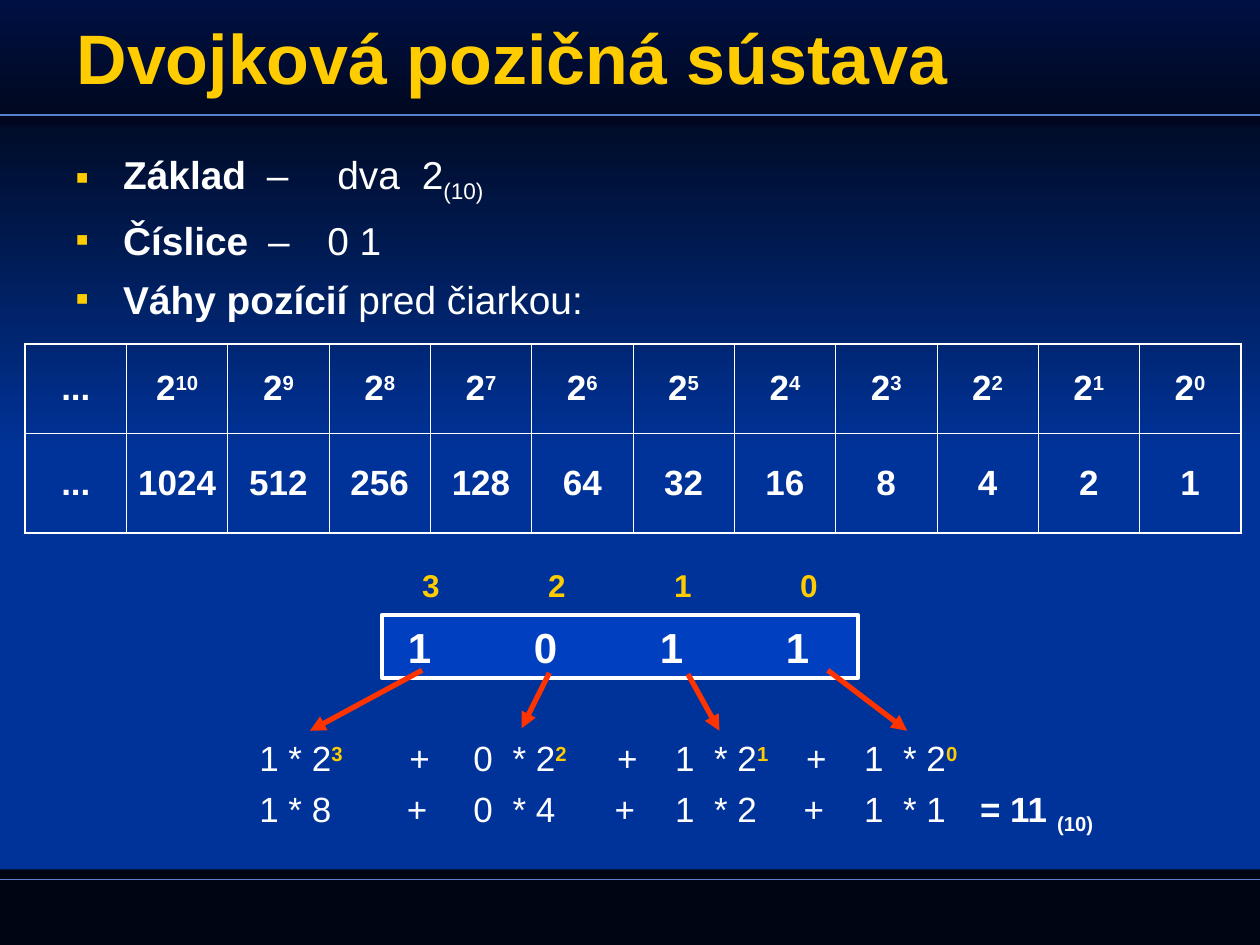
from lxml import etree
from pptx import Presentation
from pptx import util as u
from pptx.dml.color import RGBColor
from pptx.enum import shapes, text
from pptx.oxml import ns

THEME = {
    "font": "Arial", "white": "FFFFFF", "gold": "FFCC00", "blue": "003399",
    "panel": "0040C0", "rule": "5980CF", "arrow": "FF3300", "footer": "000514",
    "header_top": "001042", "header_end": "00071E",
    "title": 40, "body": 22.2, "digit": 24, "term": 20, "index": 18,
}

deck = Presentation()
deck.slide_width, deck.slide_height = u.Inches(10), u.Inches(7.5)
col, row = deck.slide_width / 100, deck.slide_height / 75
page = deck.slides.add_slide(deck.slide_layouts[6])
page.background.fill.solid()
page.background.fill.fore_color.rgb = RGBColor.from_string(THEME["blue"])


def write(para, spans, size, color="white", bold=False, tabs=()):
    if tabs:
        stops = etree.SubElement(para._p.get_or_add_pPr(), ns.qn("a:tabLst"))
        for stop in tabs:
            etree.SubElement(stops, ns.qn("a:tab"), pos=str(u.Inches(stop)), algn="l")
    for words, changes in spans:
        look = {"name": THEME["font"], "size": u.Pt(THEME[size]), "bold": bold,
                "color": color, "baseline": 0} | changes
        span = para.add_run()
        span.text = words
        for key in ("name", "size", "bold"):
            setattr(span.font, key, look[key])
        span.font.color.rgb = RGBColor.from_string(THEME[look["color"]])
        if look["baseline"]:
            span._r.get_or_add_rPr().set("baseline", str(look["baseline"] * 1000))


def add_text(left, top, width, height, spans, size, **style):
    box = page.shapes.add_textbox(*map(round, (left * col, top * row, width * col, height * row)))
    box.text_frame.word_wrap = True
    write(box.text_frame.paragraphs[0], spans, size, **style)
    return box


bands = [
    (69, 6, ["footer"]),
    (5.2, 30.8, ["footer", "blue"]),
    (0, 9.9, ["header_top", "header_end"]),
]
for top, height, colors in bands:
    band = page.shapes.add_shape(shapes.MSO_SHAPE.RECTANGLE, 0, round(top * row),
                                 deck.slide_width, round(height * row))
    band.shadow.inherit = False
    band.line.fill.background()
    if len(colors) == 1:
        band.fill.solid()
        band.fill.fore_color.rgb = RGBColor.from_string(THEME[colors[0]])
    else:
        band.fill.gradient()
        band.fill.gradient_angle = 270
        for stop, color in zip(band.fill.gradient_stops, colors):
            stop.color.rgb = RGBColor.from_string(THEME[color])

title = add_text(5.1, 0.6, 90, 7.7, [("Dvojková pozičná sústava", {})], "title",
                 color="gold", bold=True)
title.text_frame.vertical_anchor = text.MSO_ANCHOR.MIDDLE

strong = {"bold": True}
bullets = [
    ([("Základ", strong), ("\t–\tdva\t2", {}), ("(10)", {"baseline": -25})], (1.52, 2.08, 2.75)),
    ([("Číslice", strong), ("\t–\t0 1", {})], (1.53, 2)),
    ([("Váhy pozícií", strong), (" pred čiarkou:", {})], ()),
]
body = add_text(5, 11.5, 90, 15, [], "body")
for number, (spans, tabs) in enumerate(bullets):
    para = body.text_frame.add_paragraph() if number else body.text_frame.paragraphs[0]
    if number:
        para.space_before = u.Pt(7)
    props = para._p.get_or_add_pPr()
    props.set("marL", str(u.Inches(0.38)))
    props.set("indent", str(-u.Inches(0.38)))
    bullet_color = etree.SubElement(props, ns.qn("a:buClr"))
    etree.SubElement(bullet_color, ns.qn("a:srgbClr"), val=THEME["gold"])
    etree.SubElement(props, ns.qn("a:buFont"), typeface=THEME["font"])
    etree.SubElement(props, ns.qn("a:buChar"), char="▪")
    write(para, spans, "body", tabs=tabs)

powers = range(10, -1, -1)
weights = [
    [[("...", {})]] + [[("2", {}), (str(power), {"baseline": 30})] for power in powers],
    [[("...", {})]] + [[(str(2 ** power), {})] for power in powers],
]
last_row, last_column = len(weights) - 1, len(weights[0]) - 1
frame = page.shapes.add_table(len(weights), len(weights[0]), round(2 * col), round(27.3 * row),
                              round(96.5 * col), round(15 * row))
table = frame.table
table.first_row = table.horz_banding = False
for column in table.columns:
    column.width = round(96.5 * col / len(weights[0]))
for line, height in zip(table.rows, (7.1, 7.9)):
    line.height = round(height * row)
for r, entries in enumerate(weights):
    for c, spans in enumerate(entries):
        cell = table.cell(r, c)
        cell.fill.background()
        cell.margin_left = cell.margin_right = u.Inches(0.04)
        cell.vertical_anchor = text.MSO_ANCHOR.MIDDLE
        para = cell.text_frame.paragraphs[0]
        para.alignment = text.PP_ALIGN.CENTER
        write(para, spans, "term", bold=True)
        outer = {"L": c == 0, "R": c == last_column, "T": r == 0, "B": r == last_row}
        for order, (side, edge) in enumerate(outer.items()):
            border = etree.Element(ns.qn(f"a:ln{side}"), w=str(u.Pt(1.08 if edge else 0.45)))
            paint = etree.SubElement(border, ns.qn("a:solidFill"))
            etree.SubElement(paint, ns.qn("a:srgbClr"), val=THEME["white"])
            cell._tc.get_or_add_tcPr().insert(order, border)

register = page.shapes.add_shape(shapes.MSO_SHAPE.RECTANGLE, round(30.3 * col), round(48.8 * row),
                                 round(37.8 * col), round(5 * row))
register.shadow.inherit = False
register.fill.solid()
register.fill.fore_color.rgb = RGBColor.from_string(THEME["panel"])
register.line.color.rgb = RGBColor.from_string(THEME["white"])
register.line.width = u.Pt(2.25)
register.text_frame.vertical_anchor = text.MSO_ANCHOR.TOP
register.text_frame.margin_right = u.Inches(0.28)
register.text_frame.paragraphs[0].alignment = text.PP_ALIGN.CENTER
write(register.text_frame.paragraphs[0], [("1\t0\t1\t1", {})], "digit", bold=True, tabs=range(8))

terms = [(19.6, 11, "1 * "), (36.6, 12.6, "0\t* "), (52.6, 12.6, "1\t* "), (67.6, 12.6, "1\t* ")]
for number, (left, width, factor) in enumerate(terms):
    power = 3 - number
    tabs = (0.31,) if "\t" in factor else ()
    exponent = (str(power), {"color": "gold", "bold": True, "baseline": 30})
    add_text(left, 58, width, 4.4, [(factor + "2", {}), exponent], "term", tabs=tabs)
    add_text(left, 62, width, 4.4, [(factor + str(2 ** power), {})], "term", tabs=tabs)
for left in (31.5, 48, 63):
    for top, shift in ((58, 0), (62, -0.2)):
        add_text(left + shift, top, 3.9, 4.4, [("+", {})], "term")

rules = [((0, top, 100, top), "rule", 1) for top in (9.1, 69.8)]
arrows = [(33.5, 53.2, 24.6, 58), (43.6, 53.4, 41.4, 57.8),
          (54.6, 53.5, 57.1, 58), (65.7, 53.2, 72, 58)]
for (x1, y1, x2, y2), color, weight in rules + [(ends, "arrow", 3) for ends in arrows]:
    line = page.shapes.add_connector(shapes.MSO_CONNECTOR.STRAIGHT, round(x1 * col),
                                     round(y1 * row), round(x2 * col), round(y2 * row))
    line.line.color.rgb = RGBColor.from_string(THEME[color])
    line.line.width = u.Pt(weight)
    if color == "arrow":
        etree.SubElement(line.line._get_or_add_ln(), ns.qn("a:tailEnd"), type="triangle")
    etree.SubElement(line._element.spPr, ns.qn("a:effectLst"))

indices = add_text(29.9, 44.4, 38.6, 4, [("3\t2\t1\t0", {})], "index", color="gold",
                   bold=True, tabs=range(8))
indices.text_frame.paragraphs[0].alignment = text.PP_ALIGN.CENTER
add_text(76.8, 62, 12.6, 4.8, [("= 11 ", {}), ("(10)", {"baseline": -25})], "term", bold=True)

deck.save("out.pptx")
